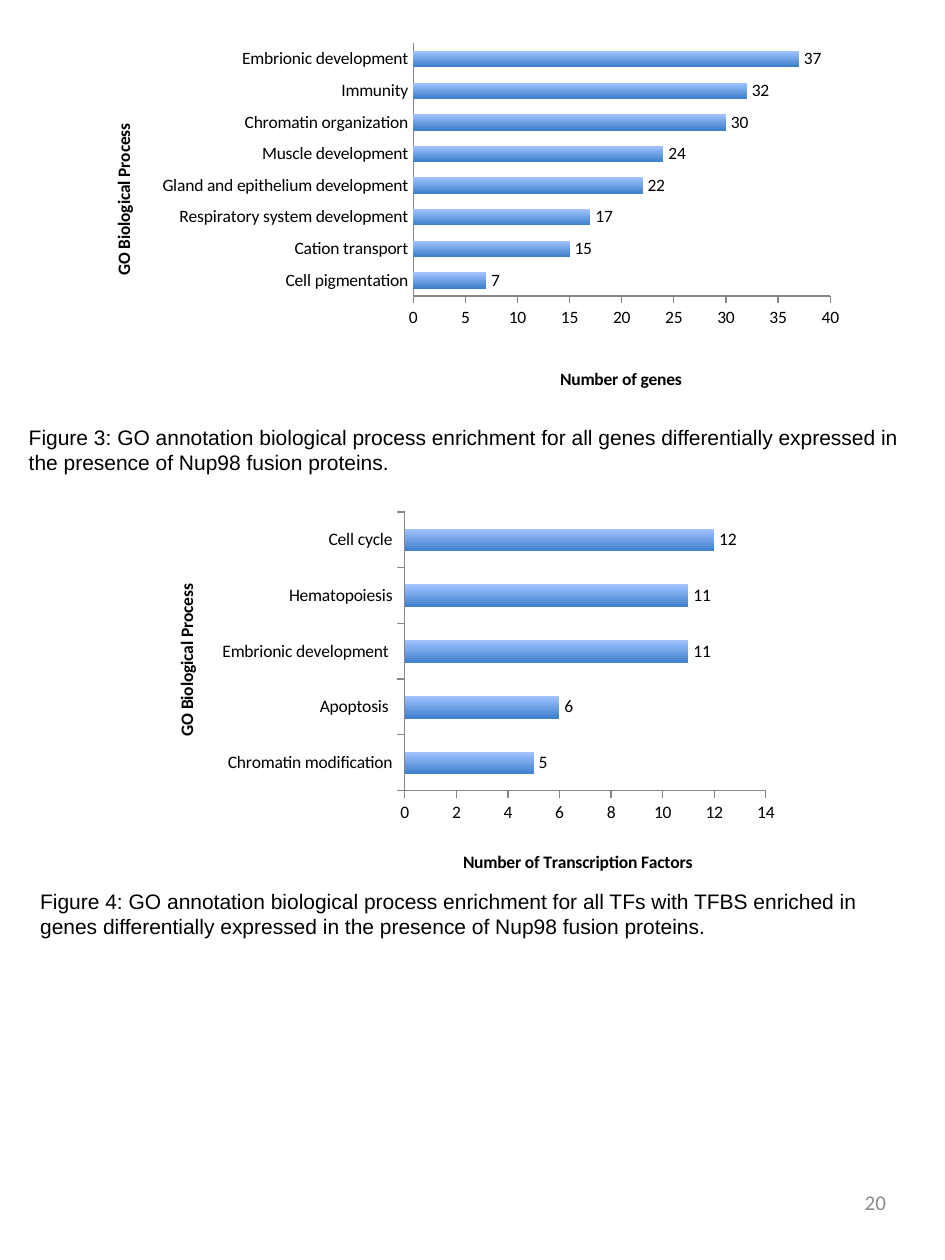
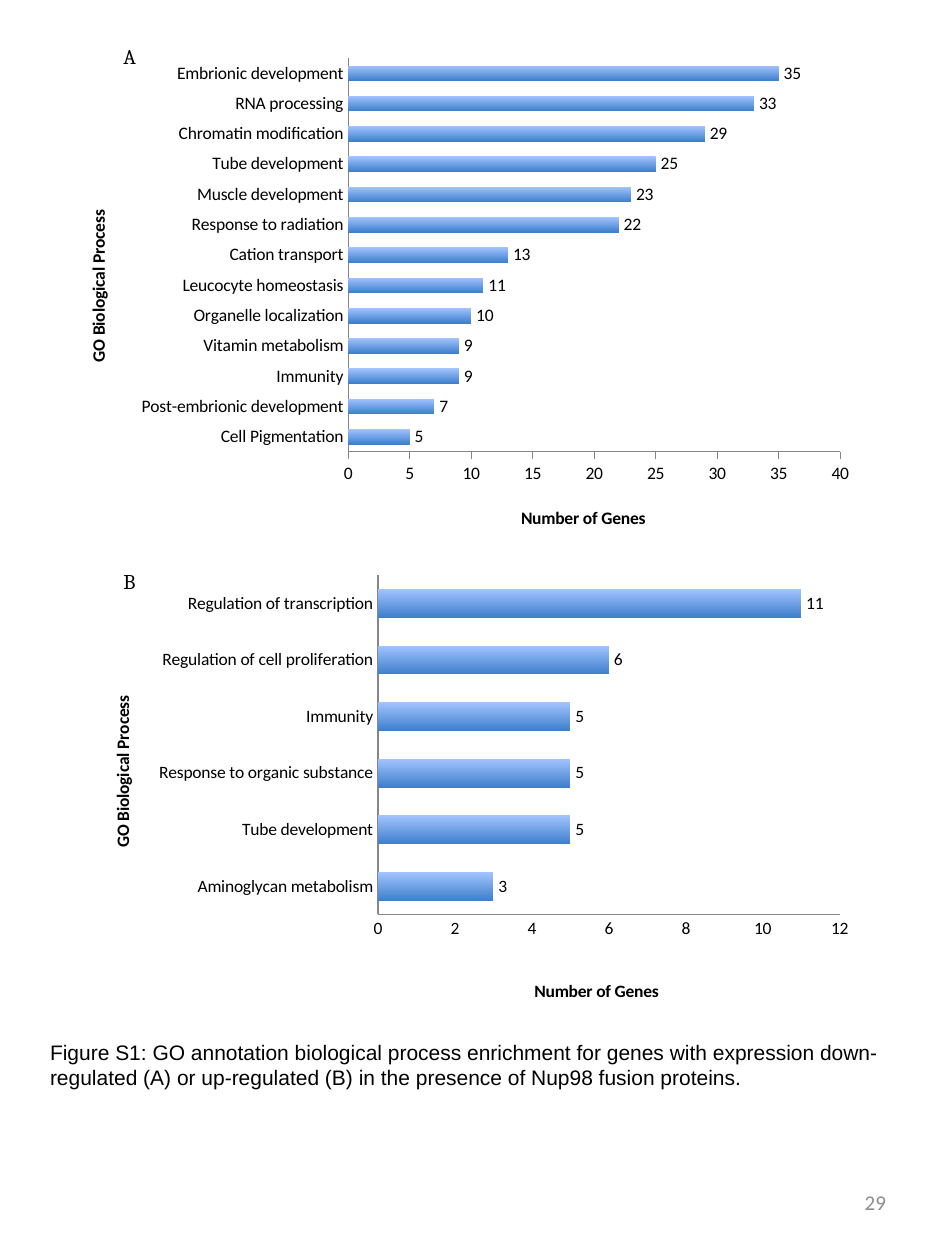
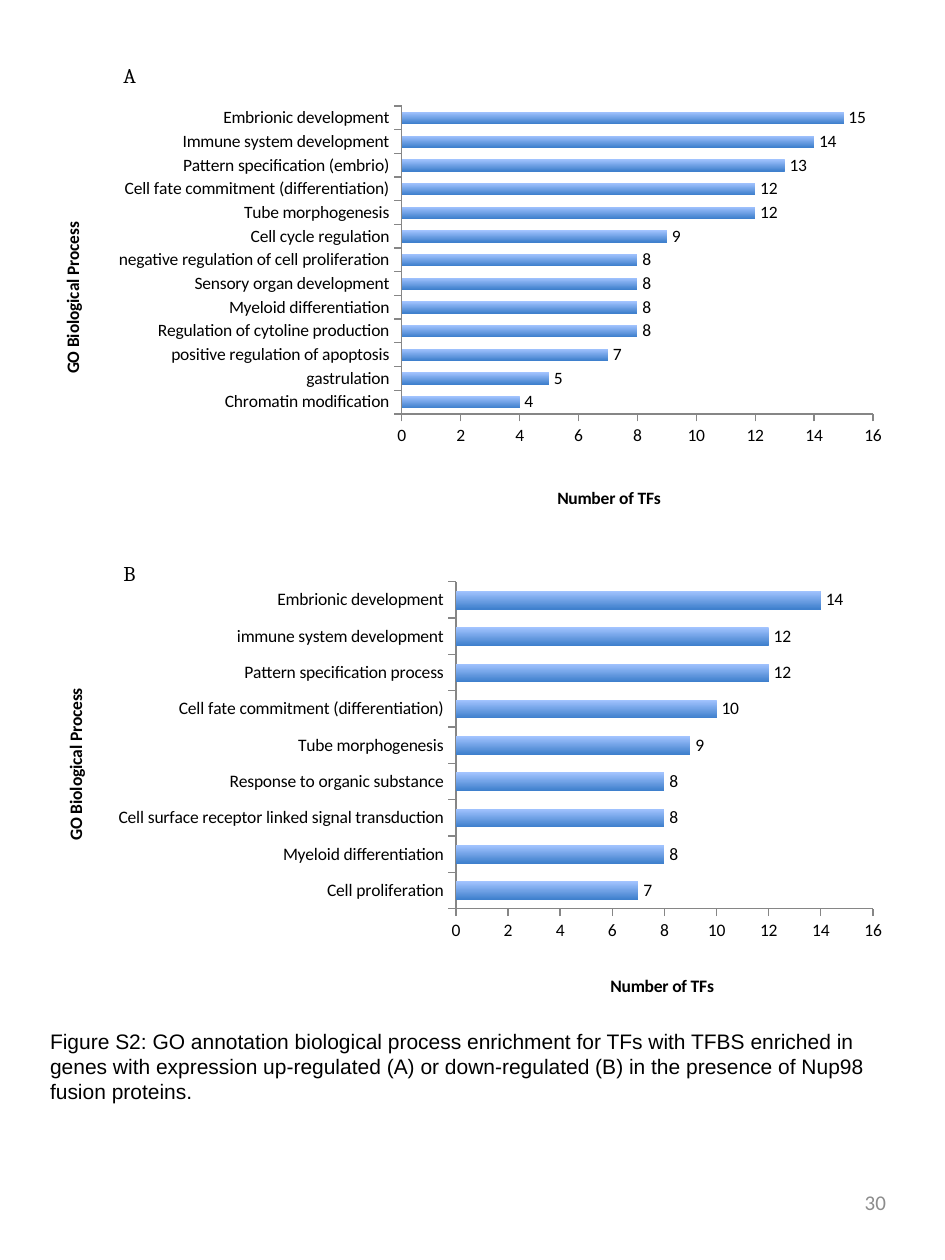
from lxml import etree
from pptx import Presentation
from pptx.chart.data import CategoryChartData
from pptx.dml.color import RGBColor
from pptx.enum.chart import XL_CHART_TYPE as ChartType
from pptx.enum.chart import XL_LABEL_POSITION as LabelPos
from pptx.enum.chart import XL_TICK_MARK as Tick
from pptx.enum.text import MSO_ANCHOR as Anchor
from pptx.enum.text import MSO_AUTO_SIZE as AutoSize
from pptx.enum.text import PP_ALIGN as Align
from pptx.oxml.ns import qn
from pptx.util import Cm, Pt

BLACK, GRAY, AXIS = "000000", "8C8C8C", "868686"
BAR_TOP, BAR_BOTTOM = "A3C4FF", "3F80CD"
PROCESS = "GO Biological Process"

SLIDES = [
    dict(
        number="20",
        captions=[
            ("Figure 3: GO annotation biological process enrichment for all genes "
             "differentially expressed in the presence of Nup98 fusion proteins.",
             (0.33, 8.43, 18.36, 1.27)),
            ("Figure 4: GO annotation biological process enrichment for all TFs with TFBS "
             "enriched in genes differentially expressed in the presence of Nup98 fusion proteins.",
             (0.56, 17.78, 18.14, 1.27)),
        ],
        letters=[],
        charts=[
            dict(frame=(1.91, 0.74, 15.32, 7.21), plot=(8.33, 0.87, 8.41, 5.16),
                 process_at=(2.2, 2.48), count_at=(11.23, 7.42), count="Number of genes",
                 top=40, step=5, gap=100, ticks=(False, True),
                 rows=[("Embrionic development", 37), ("Immunity", 32),
                       ("Chromatin organization", 30), ("Muscle development", 24),
                       ("Gland and epithelium development", 22),
                       ("Respiratory system development", 17),
                       ("Cation transport", 15), ("Cell pigmentation", 7)]),
            dict(frame=(3.18, 10.16, 12.7, 7.62), plot=(8.16, 10.32, 7.28, 5.62),
                 process_at=(3.47, 11.71), count_at=(9.27, 17.08),
                 count="Number of Transcription Factors",
                 top=14, step=2, gap=150, ticks=(True, True),
                 rows=[("Cell cycle", 12), ("Hematopoiesis", 11),
                       ("Embrionic development ", 11), ("Apoptosis ", 6),
                       ("Chromatin modification", 5)]),
        ],
    ),
    dict(
        number="29",
        captions=[
            ("Figure S1: GO annotation biological process enrichment for genes with expression "
             "down-regulated (A) or up-regulated (B) in the presence of Nup98 fusion proteins.",
             (0.76, 20.83, 17.68, 1.27)),
        ],
        letters=[("A", 0.76), ("B", 11.33)],
        charts=[
            dict(frame=(1.47, 0.97, 15.95, 10.01), plot=(7.02, 1.17, 9.92, 7.94),
                 process_at=(1.69, 4.17), count_at=(10.44, 10.14), count="Number of Genes",
                 top=40, step=5, gap=100, ticks=(False, True),
                 rows=[("Embrionic development", 35), ("RNA processing", 33),
                       ("Chromatin modification", 29), ("Tube development", 25),
                       ("Muscle development", 23), ("Response to radiation", 22),
                       ("Cation transport", 13), ("Leucocyte homeostasis", 11),
                       ("Organelle localization", 10), ("Vitamin metabolism", 9),
                       ("Immunity", 9), ("Post-embrionic development", 7),
                       ("Cell Pigmentation", 5)]),
            dict(frame=(1.85, 11.43, 15.57, 8.86), plot=(7.62, 11.59, 9.31, 6.91),
                 process_at=(2.18, 14.01), count_at=(10.71, 19.76), count="Number of Genes",
                 top=12, step=2, gap=100, ticks=(False, False),
                 rows=[("Regulation of transcription", 11),
                       ("Regulation of cell proliferation", 6), ("Immunity", 5),
                       ("Response to organic substance", 5), ("Tube development", 5),
                       ("Aminoglycan metabolism", 3)]),
        ],
    ),
    dict(
        number="30",
        captions=[
            ("Figure S2: GO annotation biological process enrichment for TFs with TFBS enriched in "
             "genes with expression up-regulated (A) or down-regulated (B) in the presence of "
             "Nup98 fusion proteins.",
             (0.76, 20.6, 17.68, 1.8)),
        ],
        letters=[("A", 1.14), ("B", 11.18)],
        charts=[
            dict(frame=(1.02, 1.98, 17.12, 8.38), plot=(8.1, 2.14, 9.5, 6.29),
                 process_at=(1.17, 4.48), count_at=(11.17, 9.86), count="Number of TFs",
                 top=16, step=2, gap=100, ticks=(True, True),
                 rows=[("Embrionic development", 15), ("Immune system development", 14),
                       ("Pattern specification (embrio)", 13),
                       ("Cell fate commitment (differentiation)", 12),
                       ("Tube morphogenesis", 12), ("Cell cycle regulation", 9),
                       ("negative regulation of cell proliferation", 8),
                       ("Sensory organ development", 8), ("Myeloid differentiation", 8),
                       ("Regulation of cytoline production", 8),
                       ("positive regulation of apoptosis", 7), ("gastrulation", 5),
                       ("Chromatin modification", 4)]),
            dict(frame=(1.02, 11.58, 17.12, 8.61), plot=(9.19, 11.73, 8.41, 6.59),
                 process_at=(1.23, 13.81), count_at=(12.24, 19.58), count="Number of TFs",
                 top=16, step=2, gap=100, ticks=(True, True),
                 rows=[("Embrionic development", 14), ("immune system development", 12),
                       ("Pattern specification process", 12),
                       ("Cell fate commitment (differentiation)", 10),
                       ("Tube morphogenesis", 9), ("Response to organic substance", 8),
                       ("Cell surface receptor linked signal transduction", 8),
                       ("Myeloid differentiation", 8), ("Cell proliferation", 7)]),
        ],
    ),
]


def color(value):
    return RGBColor.from_string(value)


def style(font, name, size, value=BLACK, bold=False):
    font.name, font.size, font.bold = name, Pt(size), bold
    font.color.rgb = color(value)


def add_text(s, text, box, font="Arial", value=BLACK, wrap=True, grow=True):
    sp = s.shapes.add_textbox(*map(Cm, box))
    tf = sp.text_frame
    tf.text = text
    tf.word_wrap = wrap
    tf.auto_size = AutoSize.SHAPE_TO_FIT_TEXT if grow else AutoSize.NONE
    style(tf.paragraphs[0].runs[0].font, font, 12, value)
    return tf


def place(element, index, frame, box):
    old = element.find(qn("c:layout"))
    if old is not None:
        element.remove(old)
    layout = etree.Element(qn("c:layout"))
    manual = etree.SubElement(layout, qn("c:manualLayout"))
    left, top, width, height = frame
    parts = [("xMode", "edge"), ("yMode", "edge"),
             ("x", (box[0] - left) / width), ("y", (box[1] - top) / height)]
    if len(box) == 4:
        parts.insert(0, ("layoutTarget", "inner"))
        parts += [("w", box[2] / width), ("h", box[3] / height)]
    for tag, value in parts:
        etree.SubElement(manual, qn(f"c:{tag}")).set("val", str(value))
    element.insert(index, layout)


def style_axis(axis, title, at, frame, tick):
    axis.has_major_gridlines = False
    axis.major_tick_mark = Tick.OUTSIDE if tick else Tick.NONE
    axis.minor_tick_mark = Tick.NONE
    axis.format.line.color.rgb = color(AXIS)
    axis.format.line.width = Pt(0.75)
    style(axis.tick_labels.font, "Calibri", 10)
    tf = axis.axis_title.text_frame
    tf.text = title
    style(tf.paragraphs[0].runs[0].font, "Calibri", 10, bold=True)
    place(axis.axis_title._element, 1, frame, at)
    return tf


def add_bars(s, spec):
    frame = spec["frame"]
    names, values = zip(*reversed(spec["rows"]))
    data = CategoryChartData()
    data.categories = names
    data.add_series("Series 1", values)
    chart = s.shapes.add_chart(ChartType.BAR_CLUSTERED, *map(Cm, frame), data).chart
    chart.has_title = chart.has_legend = False
    style(chart.font, "Calibri", 10)

    tf = style_axis(chart.category_axis, PROCESS, spec["process_at"], frame, spec["ticks"][0])
    body = tf._txBody.find(qn("a:bodyPr"))
    body.set("rot", "-5400000")
    body.set("vert", "horz")
    axis = chart.value_axis
    style_axis(axis, spec["count"], spec["count_at"], frame, spec["ticks"][1])
    axis.minimum_scale, axis.maximum_scale = 0, spec["top"]
    axis.major_unit = spec["step"]

    plot = chart.plots[0]
    plot.gap_width = spec["gap"]
    plot.vary_by_categories = False
    fill = plot.series[0].format.fill
    fill.gradient()
    fill.gradient_angle = 270
    for stop, value in zip(fill.gradient_stops, (BAR_TOP, BAR_BOTTOM)):
        stop.color.rgb = color(value)
    plot.has_data_labels = True
    labels = plot.data_labels
    labels.show_value = True
    labels.position = LabelPos.OUTSIDE_END
    style(labels.font, "Calibri", 10)
    place(chart._chartSpace.chart.plotArea, 0, frame, spec["plot"])


def main():
    prs = Presentation()
    prs.slide_width, prs.slide_height = Cm(19.05), Cm(25.4)
    for page in SLIDES:
        s = prs.slides.add_slide(prs.slide_layouts[6])
        for spec in page["charts"]:
            add_bars(s, spec)
        for text, box in page["captions"]:
            add_text(s, text, box)
        for letter, top in page["letters"]:
            add_text(s, letter, (2.24, top, 0.84, 0.76), "Cambria", wrap=False)
        tf = add_text(s, page["number"], (13.67, 23.55, 4.44, 1.35), "Calibri", GRAY, grow=False)
        tf.vertical_anchor = Anchor.MIDDLE
        tf.paragraphs[0].alignment = Align.RIGHT
    prs.save("out.pptx")


if __name__ == "__main__":
    main()
